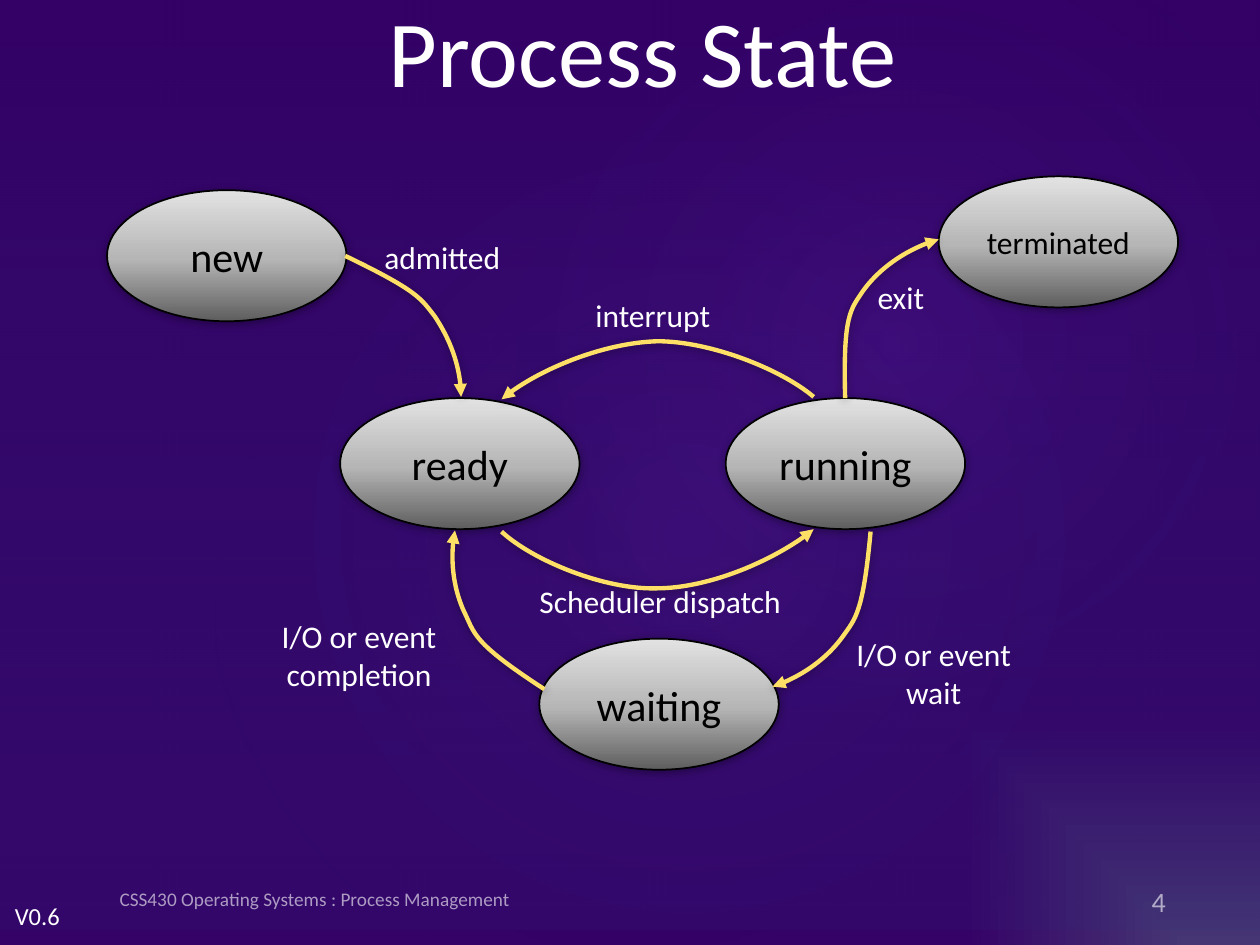
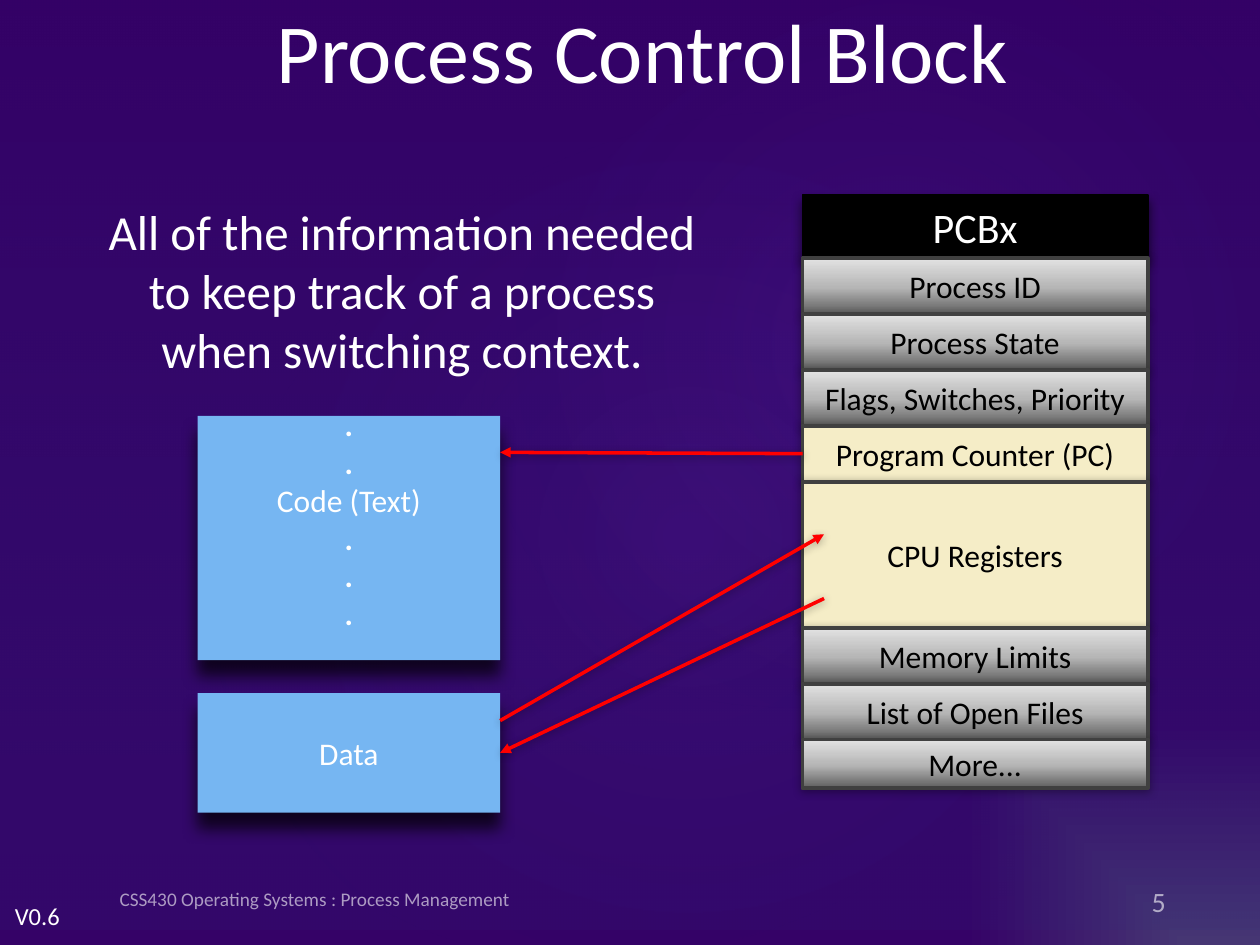
from lxml import etree
from pptx import Presentation
from pptx.enum.shapes import MSO_CONNECTOR, MSO_SHAPE
from pptx.enum.text import MSO_ANCHOR, PP_ALIGN
from pptx.oxml import parse_xml
from pptx.oxml.ns import nsdecls, qn
from pptx.util import Pt

OVAL, RECTANGLE = MSO_SHAPE.OVAL, MSO_SHAPE.RECTANGLE
STRAIGHT = MSO_CONNECTOR.STRAIGHT
LEFT, CENTER, RIGHT = PP_ALIGN.LEFT, PP_ALIGN.CENTER, PP_ALIGN.RIGHT
MIDDLE = MSO_ANCHOR.MIDDLE

FONT = "Calibri"
WHITE, BLACK, YELLOW, RED = "FFFFFF", "000000", "FFE066", "FF0000"
CREAM, BLUE, FRAME = "F5EDC7", "76B6F2", "404040"
METAL = [(0, "5E5E5E", 100), (48, "B6B6B6", 100), (100, "E2E2E2", 100)]
UPWARD = '<a:lin ang="16200000" scaled="0"/>'
DOWNWARD = '<a:lin ang="5400000" scaled="0"/>'
FROM_CENTER = ('<a:path path="circle"><a:fillToRect l="50000" t="50000" '
               'r="50000" b="50000"/></a:path>')
FROM_CORNER = ('<a:path path="rect"><a:fillToRect l="100000" t="100000"/>'
               '</a:path>')
SOFT, HEADER_SHADOW, DEEP = (32, 5, 1), (60, 6, 3), (70, 9, 9)


def paint(owner, fill, shade=UPWARD, alpha=100):
    """Fill shape, line, background or run properties: hex or gradient stops."""
    def color(value, opacity):
        return (f'<a:srgbClr val="{value}"><a:alpha val="{opacity * 1000}"/>'
                '</a:srgbClr>')
    if isinstance(fill, str):
        xml = f'<a:solidFill {nsdecls("a")}>{color(fill, alpha)}</a:solidFill>'
    else:
        stops = "".join(f'<a:gs pos="{place * 1000}">{color(value, opacity)}</a:gs>'
                        for place, value, opacity in fill)
        xml = (f'<a:gradFill {nsdecls("a")} rotWithShape="1">'
               f'<a:gsLst>{stops}</a:gsLst>{shade}</a:gradFill>')
    for tag in ("a:noFill", "a:solidFill", "a:gradFill"):
        for old in owner.findall(qn(tag)):
            owner.remove(old)
    geometry = [qn("a:xfrm"), qn("a:prstGeom"), qn("a:custGeom")]
    owner.insert(sum(child.tag in geometry for child in owner), parse_xml(xml))


def write(box, text, size, color=WHITE, align=CENTER, alpha=100):
    box.text_frame.text = text
    box.text_frame.word_wrap = True
    for para in box.text_frame.paragraphs:
        para.alignment = align
        for span in para.runs:
            span.font.name = FONT
            span.font.size = Pt(size)
    for properties in box.element.iter(qn("a:rPr")):
        paint(properties, color, alpha=alpha)


deck = Presentation()
deck.slide_width, deck.slide_height = Pt(720), Pt(540)
layout = deck.slide_layouts[5]
master = deck.slide_master
master.background.fill.solid()
paint(master.element.xpath("p:cSld/p:bg/p:bgPr")[0],
      [(0, "463673", 100), (47, "350267", 100)], FROM_CORNER)

# Pages with title and footer
pages = []
for number, heading, heading_size in [(4, "Process State", 54),
                                      (5, "Process Control Block", 48)]:
    page = deck.slides.add_slide(layout)
    pages.append(page)
    title = page.shapes.title
    title.left, title.top = Pt(61.2), Pt(0)
    title.width, title.height = Pt(612), Pt(57)
    write(title, heading, heading_size)
    title.text_frame.vertical_anchor = MIDDLE
    for left, width, text, size, align in [
            (592.6, 80.6, str(number), 16, RIGHT),
            (61.2, 363.6, "CSS430 Operating Systems : Process Management", 11, LEFT)]:
        footer = page.shapes.add_textbox(Pt(left), Pt(499), Pt(width), Pt(28.8))
        write(footer, text, size, align=align, alpha=60)
        footer.text_frame.vertical_anchor = MIDDLE
        if align == RIGHT:
            footer.text_frame.margin_bottom = Pt(0.7)
state_page, block_page = pages

# Glows and version mark, moved to the layout that both pages use
decor = []
for kind, left, top, width, height, angle, stops, shade in [
        (RECTANGLE, 0, -8.6, 720, 540, 0,
         [(0, "330066", 36), (100, "263B86", 10)], DOWNWARD),
        (OVAL, 108, 82, 570, 449.3, 328.7,
         [(0, "A347FF", 7), (58, "263B86", 0)], FROM_CENTER),
        (OVAL, 257.8, 9.4, 510.5, 374.4, 328.7,
         [(0, "A347FF", 8), (58, "263B86", 0)], FROM_CENTER)]:
    glow = state_page.shapes.add_shape(kind, Pt(left), Pt(top), Pt(width), Pt(height))
    glow.rotation = angle
    glow.line.fill.background()
    glow.shadow.inherit = False
    paint(glow.element.spPr, stops, shade)
    decor.append(glow)
version = state_page.shapes.add_textbox(Pt(1.4), Pt(511.2), Pt(41), Pt(24.5))
write(version, "V0.6", 14, align=LEFT)
version.text_frame.word_wrap = False
decor.append(version)
for index, shape in enumerate(decor):
    shape.element.nvSpPr.cNvPr.id = 100 + index
    layout.shapes.element.append(shape.element)

shadowed = []
arrows = []

# Process State: labels, states and transitions
for left, top, width, text in [
        (304.6, 165.6, 136.8, "interrupt"),
        (446.4, 155.5, 136.8, "exit"),
        (184.3, 132.5, 136.8, "admitted"),
        (465.1, 359.3, 136.8, "I/O or event\nwait"),
        (136.8, 349.2, 136.8, "I/O or event\ncompletion"),
        (287.3, 329, 180, "Scheduler dispatch")]:
    lines = text.count("\n") + 1
    label = state_page.shapes.add_textbox(Pt(left), Pt(top), Pt(width),
                                          Pt(7 + 22 * lines))
    write(label, text, 18)

for left, top, name, size in [
        (61.2, 108.7, "new", 24), (308.2, 365, "waiting", 24),
        (194.4, 227.5, "ready", 24), (414.7, 227.5, "running", 24),
        (536.4, 100.8, "terminated", 18)]:
    state = state_page.shapes.add_shape(OVAL, Pt(left), Pt(top), Pt(136.8), Pt(74.9))
    state.line.width = Pt(1)
    paint(state.element.spPr, METAL)
    paint(state.element.spPr.ln, BLACK)
    write(state, name, size, BLACK)
    shadowed.append((state, SOFT))

# Each transition: start, then two Bézier pieces of three points
transitions = [
    [(465, 226.8), (446.4, 211), (406, 195), (375.8, 195),
     (346.3, 195.8), (304.6, 212.4), (286.6, 228.2)],
    [(286.6, 303.8), (304.6, 320.4), (345.6, 337), (375, 336.2),
     (404.6, 336.2), (446.4, 318.2), (465, 302.4)],
    [(483, 227.5), (481.7, 180), (486, 177.1), (493.2, 166.3),
     (500.4, 156.2), (516.2, 142.6), (536.4, 136.8)],
    [(311, 393.8), (272.2, 368.6), (271.4, 362.9), (266.4, 352),
     (260.6, 340.6), (256.3, 321.1), (260, 303.1)],
    [(497.5, 303.8), (493.2, 350), (488.9, 353.5), (481.7, 363.6),
     (474.5, 373.7), (459.4, 386.6), (441.4, 392.4)],
    [(197.3, 146.2), (239, 166.3), (240.5, 170.6), (248.4, 180.7),
     (255.6, 191.5), (263.5, 208.8), (263.5, 226.8)],
]
for transition in transitions:
    start, *rest = [(Pt(x), Pt(y)) for x, y in transition]
    builder = state_page.shapes.build_freeform(*start)
    builder.add_line_segments(rest, close=False)
    curve = builder.convert_to_shape()
    outline = next(curve.element.iter(qn("a:path")))
    segments = outline.findall(qn("a:lnTo"))
    for first in range(0, len(segments), 3):
        bezier = etree.SubElement(outline, qn("a:cubicBezTo"))
        for segment in segments[first:first + 3]:
            bezier.append(segment[0])
            outline.remove(segment)
    curve.fill.background()
    curve.line.width = Pt(2.5)
    arrows.append((curve, YELLOW))

# Process Control Block: statement, table of fields, memory areas
statement = block_page.shapes.add_textbox(Pt(49.7), Pt(111.6), Pt(360), Pt(108.7))
write(statement, "All of the information needed to keep track of a process "
      "when switching context.", 28)

fields = {}
top = 111.6
for name, height, fill, size, color, border, weight, shadow in [
        ("PCBx", 36, BLACK, 24, WHITE, BLACK, 1, HEADER_SHADOW)] + [
        (name, height, fill, 18, BLACK, FRAME, 2.25, SOFT) for name, height, fill in [
            ("Process ID", 31.9, METAL), ("Process State", 31.9, METAL),
            ("Flags, Switches, Priority", 31.9, METAL),
            ("Program Counter (PC)", 31.9, CREAM), ("CPU Registers", 83.6, CREAM),
            ("Memory Limits", 31.9, METAL), ("List of Open Files", 31.9, METAL),
            ("More...", 28, METAL)]]:
    field = block_page.shapes.add_shape(RECTANGLE, Pt(458.6), Pt(top),
                                        Pt(197.3), Pt(height))
    field.line.width = Pt(weight)
    paint(field.element.spPr, fill)
    paint(field.element.spPr.ln, border)
    write(field, name, size, color)
    shadowed.append((field, shadow))
    fields[name] = field
    top += height

areas = []
for top, height, text in [(237.6, 139.7, ".\n.\nCode (Text)\n.\n.\n."),
                          (396, 68.4, "Data")]:
    area = block_page.shapes.add_shape(RECTANGLE, Pt(113), Pt(top), Pt(172.8), Pt(height))
    area.line.fill.background()
    paint(area.element.spPr, BLUE)
    write(area, text, 18)
    for para in area.text_frame.paragraphs:
        para.runs[0].font.bold = para.text == "."
    shadowed.append((area, DEEP))
    areas.append(area)
code, data = areas
code.text_frame.margin_bottom = Pt(25.6)

links = []
for x1, y1, x2, y2 in [(458.6, 259.2, 285.8, 258.5),
                       (285.8, 411.8, 470.9, 305.3),
                       (470.9, 342, 285.8, 430.2)]:
    link = block_page.shapes.add_connector(STRAIGHT, Pt(x1), Pt(y1), Pt(x2), Pt(y2))
    link.line.width = Pt(2)
    arrows.append((link, RED))
    links.append(link)
links[0].begin_connect(fields["Program Counter (PC)"], 1)
links[2].end_connect(data, 3)

# Arrowheads and shadows
for arrow, color in arrows:
    line = arrow.element.spPr.ln
    paint(line, color)
    etree.SubElement(line, qn("a:tailEnd"), type="triangle")
    shadowed.append((arrow, SOFT))
for shape, (opacity, blur, distance) in shadowed:
    shape.element.spPr.append(parse_xml(
        f'<a:effectLst {nsdecls("a")}><a:outerShdw blurRad="{Pt(blur)}" '
        f'dist="{Pt(distance)}" dir="5400000" rotWithShape="0">'
        f'<a:srgbClr val="{BLACK}"><a:alpha val="{opacity * 1000}"/></a:srgbClr>'
        '</a:outerShdw></a:effectLst>'))

deck.save("out.pptx")
